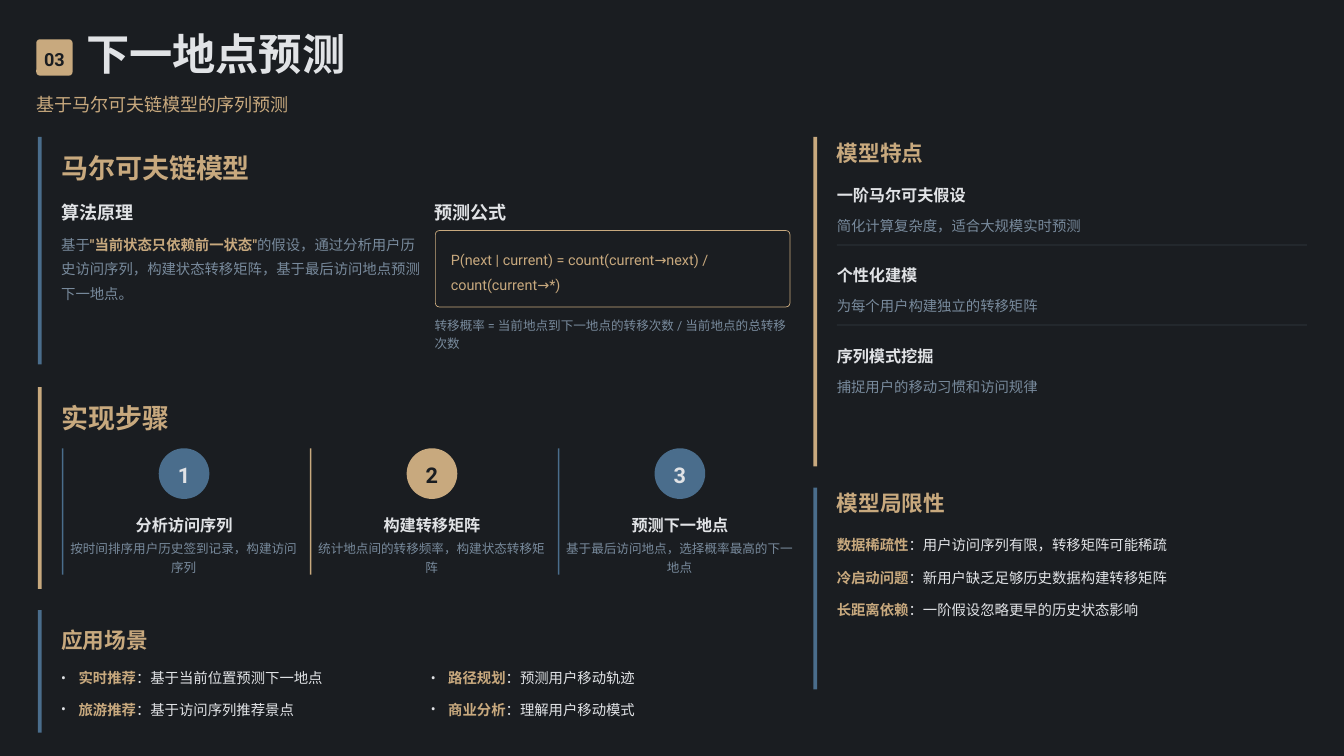
from dataclasses import dataclass

from lxml.etree import SubElement
from pptx import Presentation
from pptx.dml.color import RGBColor
from pptx.enum.shapes import MSO_CONNECTOR, MSO_SHAPE
from pptx.enum.text import MSO_ANCHOR, PP_ALIGN
from pptx.oxml.ns import qn
from pptx.util import Inches, Pt


@dataclass(frozen=True)
class Theme:
    font: str = "Roboto"
    dark: str = "1A1D21"
    light: str = "E1E3E6"
    gold: str = "C8A97E"
    blue: str = "4A6D8C"
    grey: str = "788A9C"
    title: float = 41.2
    section: float = 25.7
    heading: float = 20.6
    label: float = 17.2
    item: float = 15.4
    body: float = 13.7
    small: float = 12


THEME = Theme()


def write(shape, spans, size, spacing=1.2, align=PP_ALIGN.LEFT, margins=(0, 0)):
    """Fill a shape with one paragraph; spans are (text, color, bold)."""
    frame = shape.text_frame
    frame.word_wrap = True
    frame.vertical_anchor = MSO_ANCHOR.MIDDLE
    frame.margin_left, frame.margin_right = map(Inches, margins)
    frame.margin_top = frame.margin_bottom = 0
    para = frame.paragraphs[0]
    para.alignment = align
    para.line_spacing = spacing
    for text, color, bold in spans:
        span = para.add_run()
        span.text = text
        span.font.name = THEME.font
        span.font.size = Pt(size)
        span.font.bold = bold
        span.font.color.rgb = RGBColor.from_string(color)
    return para


def add_text(page, area, text, size, color, bold=False, **layout):
    return add_spans(page, area, [(text, color, bold)], size, **layout)


def add_spans(page, area, spans, size, **layout):
    box = page.shapes.add_textbox(*map(Inches, area))
    return write(box, spans, size, **layout)


def add_shape(page, kind, area, fill, line=None, corner=None):
    shape = page.shapes.add_shape(kind, *map(Inches, area))
    shape.shadow.inherit = False
    shape.fill.solid()
    shape.fill.fore_color.rgb = RGBColor.from_string(fill)
    if line:
        shape.line.color.rgb = RGBColor.from_string(line)
        shape.line.width = Pt(0.67)
    else:
        shape.line.fill.background()
    if corner:
        shape.adjustments[0] = corner
    return shape


def add_bar(page, left, top, height, color, width=0.05):
    add_shape(page, MSO_SHAPE.RECTANGLE, (left, top, width, height), color)


def add_divider(page, left, top, width):
    line = page.shapes.add_connector(
        MSO_CONNECTOR.STRAIGHT,
        Inches(left), Inches(top), Inches(left + width), Inches(top))
    line.line.color.rgb = RGBColor.from_string(THEME.grey)
    line.line.width = Pt(0.67)
    properties = line._element.spPr
    color = properties.find(".//" + qn("a:srgbClr"))
    SubElement(color, qn("a:alpha")).set("val", "30000")
    SubElement(properties, qn("a:effectLst"))


def add_term(page, left, top, width, term, meaning, bullet=False):
    """A gold term followed by its explanation, on one line."""
    spans = [(term, THEME.gold, True), ("：" + meaning, THEME.light, False)]
    para = add_spans(page, (left, top, width, 0.29), spans, THEME.body, spacing=1.3)
    if bullet:
        properties = para._p.get_or_add_pPr()
        properties.set("marL", str(Inches(0.23)))
        properties.set("indent", str(-Inches(0.23)))
        color = SubElement(properties, qn("a:buClr"))
        SubElement(color, qn("a:srgbClr")).set("val", THEME.light)
        SubElement(properties, qn("a:buFont")).set("typeface", THEME.font)
        SubElement(properties, qn("a:buChar")).set("char", "•")


def add_header(page):
    badge = add_shape(page, MSO_SHAPE.ROUNDED_RECTANGLE,
                      (0.48, 0.52, 0.48, 0.48), THEME.gold, corner=0.1)
    write(badge, [("03", THEME.dark, True)], THEME.label, align=PP_ALIGN.CENTER)
    add_text(page, (1.14, 0.48, 3.72, 0.57), "下一地点预测",
             THEME.title, THEME.light, True, spacing=0.8)
    add_text(page, (0.48, 1.19, 16.94, 0.33), "基于马尔可夫链模型的序列预测",
             THEME.label, THEME.gold)


def add_model(page):
    add_bar(page, 0.5, 1.81, 3.01, THEME.blue)
    add_text(page, (0.81, 2, 9.82, 0.43), "马尔可夫链模型",
             THEME.section, THEME.gold, True, spacing=1.0)
    for left, label in ((0.81, "算法原理"), (5.75, "预测公式")):
        add_text(page, (left, 2.62, 4.83, 0.33), label,
                 THEME.label, THEME.light, True)
    add_spans(page, (0.81, 3.05, 4.8, 0.93), [
        ("基于", THEME.grey, False),
        ('"当前状态只依赖前一状态"', THEME.gold, True),
        ("的假设，通过分析用户历史访问序列，构建状态转移矩阵，"
         "基于最后访问地点预测下一地点。", THEME.grey, False),
    ], THEME.body, spacing=1.4)
    formula = add_shape(page, MSO_SHAPE.ROUNDED_RECTANGLE, (5.76, 3.05, 4.69, 1.01),
                        THEME.dark, THEME.gold, corner=0.05)
    write(formula,
          [("P(next | current) = count(current→next) / count(current→*)",
            THEME.gold, False)],
          THEME.body, spacing=1.4, margins=(0.19, 0.1))
    add_text(page, (5.75, 4.16, 4.79, 0.48),
             "转移概率 = 当前地点到下一地点的转移次数 / 当前地点的总转移次数",
             THEME.small, THEME.grey)


def add_steps(page):
    add_bar(page, 0.5, 5.12, 2.67, THEME.gold)
    add_text(page, (0.81, 5.31, 9.82, 0.43), "实现步骤",
             THEME.section, THEME.gold, True, spacing=1.0)
    steps = [
        ("分析访问序列", "按时间排序用户历史签到记录，构建访问序列", THEME.blue, THEME.light),
        ("构建转移矩阵", "统计地点间的转移频率，构建状态转移矩阵", THEME.gold, THEME.dark),
        ("预测下一地点", "基于最后访问地点，选择概率最高的下一地点", THEME.blue, THEME.light),
    ]
    for index, (name, detail, accent, ink) in enumerate(steps):
        left = 0.82 + 3.28 * index
        add_bar(page, left, 5.93, 1.67, accent, width=0.02)
        circle = add_shape(page, MSO_SHAPE.OVAL, (left + 1.28, 5.93, 0.67, 0.67), accent)
        write(circle, [(str(index + 1), ink, True)], THEME.heading,
              spacing=1.1, align=PP_ALIGN.CENTER)
        add_text(page, (left + 0.1, 6.74, 3.03, 0.33), name, THEME.item,
                 THEME.light, True, spacing=1.3, align=PP_ALIGN.CENTER)
        add_text(page, (left + 0.11, 7.12, 3, 0.48), detail, THEME.small,
                 THEME.grey, align=PP_ALIGN.CENTER)


def add_uses(page):
    add_bar(page, 0.5, 8.07, 1.62, THEME.blue)
    add_text(page, (0.81, 8.26, 9.78, 0.38), "应用场景",
             THEME.heading, THEME.gold, True, spacing=1.1)
    uses = [
        ("实时推荐", "基于当前位置预测下一地点"), ("路径规划", "预测用户移动轨迹"),
        ("旅游推荐", "基于访问序列推荐景点"), ("商业分析", "理解用户移动模式"),
    ]
    for index, (term, meaning) in enumerate(uses):
        row, column = divmod(index, 2)
        add_term(page, 0.81 + 4.89 * column, 8.79 + 0.42 * row, 4.85,
                 term, meaning, bullet=True)


def add_features(page):
    add_bar(page, 10.76, 1.81, 4.36, THEME.gold)
    add_text(page, (11.07, 1.81, 6.36, 0.38), "模型特点",
             THEME.heading, THEME.gold, True, spacing=1.1)
    features = [
        ("一阶马尔可夫假设", "简化计算复杂度，适合大规模实时预测"),
        ("个性化建模", "为每个用户构建独立的转移矩阵"),
        ("序列模式挖掘", "捕捉用户的移动习惯和访问规律"),
    ]
    for index, (name, detail) in enumerate(features):
        top = 2.38 + 1.06 * index
        if index:
            add_divider(page, 11.07, top - 0.2, 6.22)
        add_text(page, (11.07, top, 6.33, 0.33), name,
                 THEME.item, THEME.light, True, spacing=1.3)
        add_text(page, (11.07, top + 0.43, 6.32, 0.29), detail,
                 THEME.body, THEME.grey, spacing=1.3)


def add_limits(page):
    add_bar(page, 10.76, 6.45, 2.67, THEME.blue)
    add_text(page, (11.07, 6.45, 6.36, 0.38), "模型局限性",
             THEME.heading, THEME.gold, True, spacing=1.1)
    limits = [
        ("数据稀疏性", "用户访问序列有限，转移矩阵可能稀疏"),
        ("冷启动问题", "新用户缺乏足够历史数据构建转移矩阵"),
        ("长距离依赖", "一阶假设忽略更早的历史状态影响"),
    ]
    for index, (term, meaning) in enumerate(limits):
        add_term(page, 11.07, 7.03 + 0.43 * index, 6.32, term, meaning)


def main():
    deck = Presentation()
    deck.slide_width, deck.slide_height = Inches(17.78), Inches(10)
    page = deck.slides.add_slide(deck.slide_layouts[6])
    page.background.fill.solid()
    page.background.fill.fore_color.rgb = RGBColor.from_string(THEME.dark)
    # Title, left column, then right column
    add_header(page)
    add_model(page)
    add_steps(page)
    add_uses(page)
    add_features(page)
    add_limits(page)
    deck.save("out.pptx")


if __name__ == "__main__":
    main()
